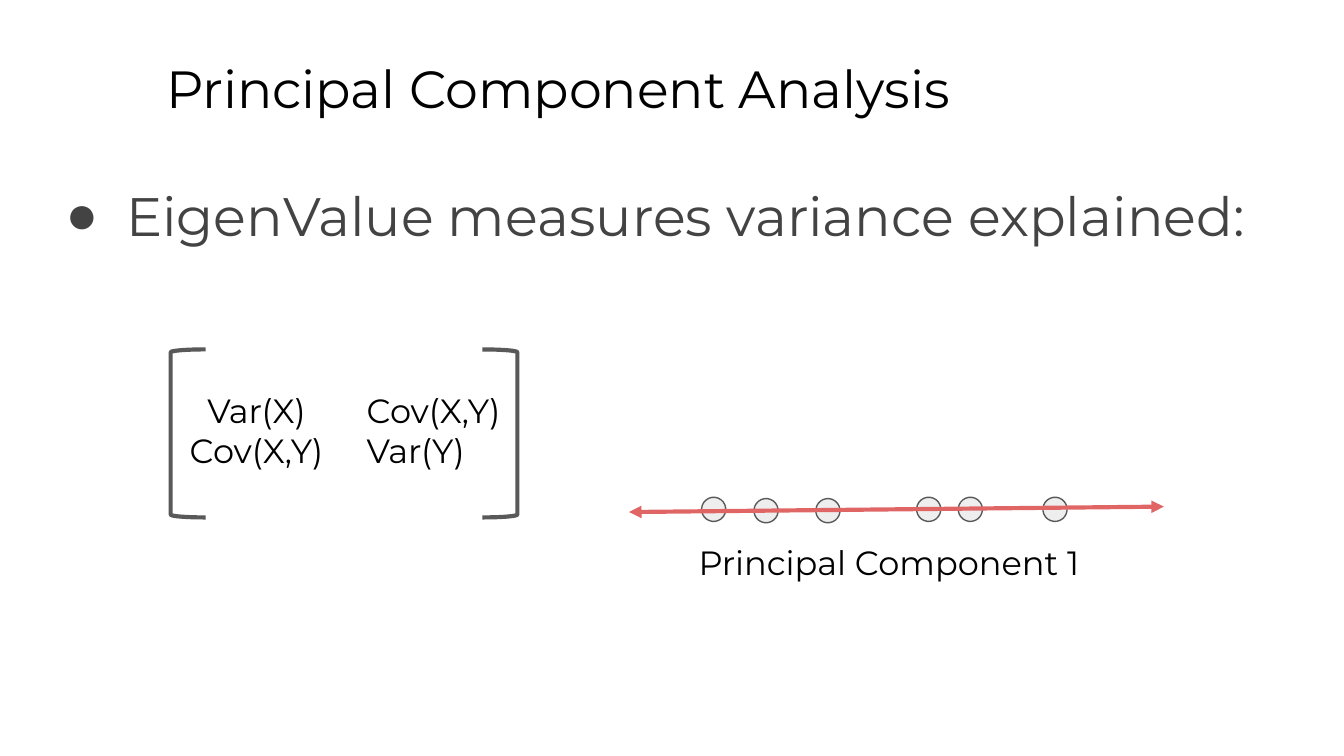
from pptx import Presentation
from pptx.dml.color import RGBColor as RGB
from pptx.enum.shapes import MSO_CONNECTOR as Link, MSO_SHAPE as Shape
from pptx.oxml.ns import qn
from pptx.util import Inches, Pt
from lxml.etree import SubElement as Sub

HEX = {"black": "000000", "body": "434343", "edge": "595959",
       "dot": "EEEEEE", "axis": "E06666"}
INK = {name: RGB.from_string(code) for name, code in HEX.items()}

# Slide in 16:9
deck = Presentation()
deck.slide_width = Inches(10)
deck.slide_height = Inches(10) * 9 // 16
slide = deck.slides.add_slide(deck.slide_layouts[6])
shapes = slide.shapes


def add_text(lines, x, y, w, h, size=18, color="black"):
    frame = shapes.add_textbox(*map(Inches, (x, y, w, h))).text_frame
    frame.word_wrap = True
    frame.margin_left = frame.margin_right = Inches(0.1)
    frame.margin_top = frame.margin_bottom = Inches(0.1)
    for i, line in enumerate(lines):
        para = frame.add_paragraph() if i else frame.paragraphs[0]
        run = para.add_run()
        run.text = line
        run.font.name = "Montserrat"
        run.font.size = Pt(size)
        run.font.color.rgb = INK[color]
    return frame.paragraphs


def add_shape(kind, x, y, w, h, width, fill=None):
    shape = shapes.add_shape(kind, *map(Inches, (x, y, w, h)))
    shape.shadow.inherit = False
    if fill:
        shape.fill.solid()
        shape.fill.fore_color.rgb = INK[fill]
    else:
        shape.fill.background()
    shape.line.color.rgb = INK["edge"]
    shape.line.width = Pt(width)
    return shape


# Title
add_text(["Principal Component Analysis"], 1.14, 0.32, 8.52, 0.63, size=28)

# Bullet
point = add_text(["EigenValue measures variance explained:"],
                 0.34, 1.26, 9.5, 3.74, size=29, color="body")[0]
props = point._p.get_or_add_pPr()
props.set("marL", str(Inches(0.5)))
props.set("indent", str(Inches(-0.45)))
Sub(Sub(props, qn("a:buClr")), qn("a:srgbClr"), val=HEX["body"])
Sub(props, qn("a:buFont"), typeface="Arial")
Sub(props, qn("a:buChar"), char="●")

# Points along the component
for x, y in [(5.61, 3.71), (6.82, 3.7), (7.13, 3.7),
             (6.07, 3.71), (5.22, 3.7), (7.76, 3.7)]:
    dot = add_shape(Shape.OVAL, x, y, 0.18, 0.18, 0.75, fill="dot")
    dot.rotation = 36.9

# Covariance matrix: two columns set by tab stops
rows = add_text(["\tVar(X)\tCov(X,Y)", "\tCov(X,Y)\tVar(Y)"],
                1.19, 2.8, 2.88, 0.81)
for row in rows:
    tabs = Sub(row._p.get_or_add_pPr(), qn("a:tabLst"))
    for pos, align in [(0.62, "ctr"), (1.44, "l")]:
        Sub(tabs, qn("a:tab"), pos=str(Inches(pos)), algn=align)

for kind, x in [(Shape.LEFT_BRACKET, 1.27), (Shape.RIGHT_BRACKET, 3.59)]:
    side = add_shape(kind, x, 2.6, 0.26, 1.25, 2.25)
    side.adjustments[0] = 0.08

# Component axis with arrowheads at both ends
axis = shapes.add_connector(Link.STRAIGHT, *map(Inches, (4.68, 3.81, 8.66, 3.77)))
axis.line.color.rgb = INK["axis"]
axis.line.width = Pt(2.25)
stroke = axis.line._get_or_add_ln()
for end in ("a:headEnd", "a:tailEnd"):
    Sub(stroke, qn(end), type="triangle")
Sub(axis._element.spPr, qn("a:effectLst"))

add_text(["Principal Component 1"], 5.1, 3.93, 3.42, 0.5)

deck.save("out.pptx")
